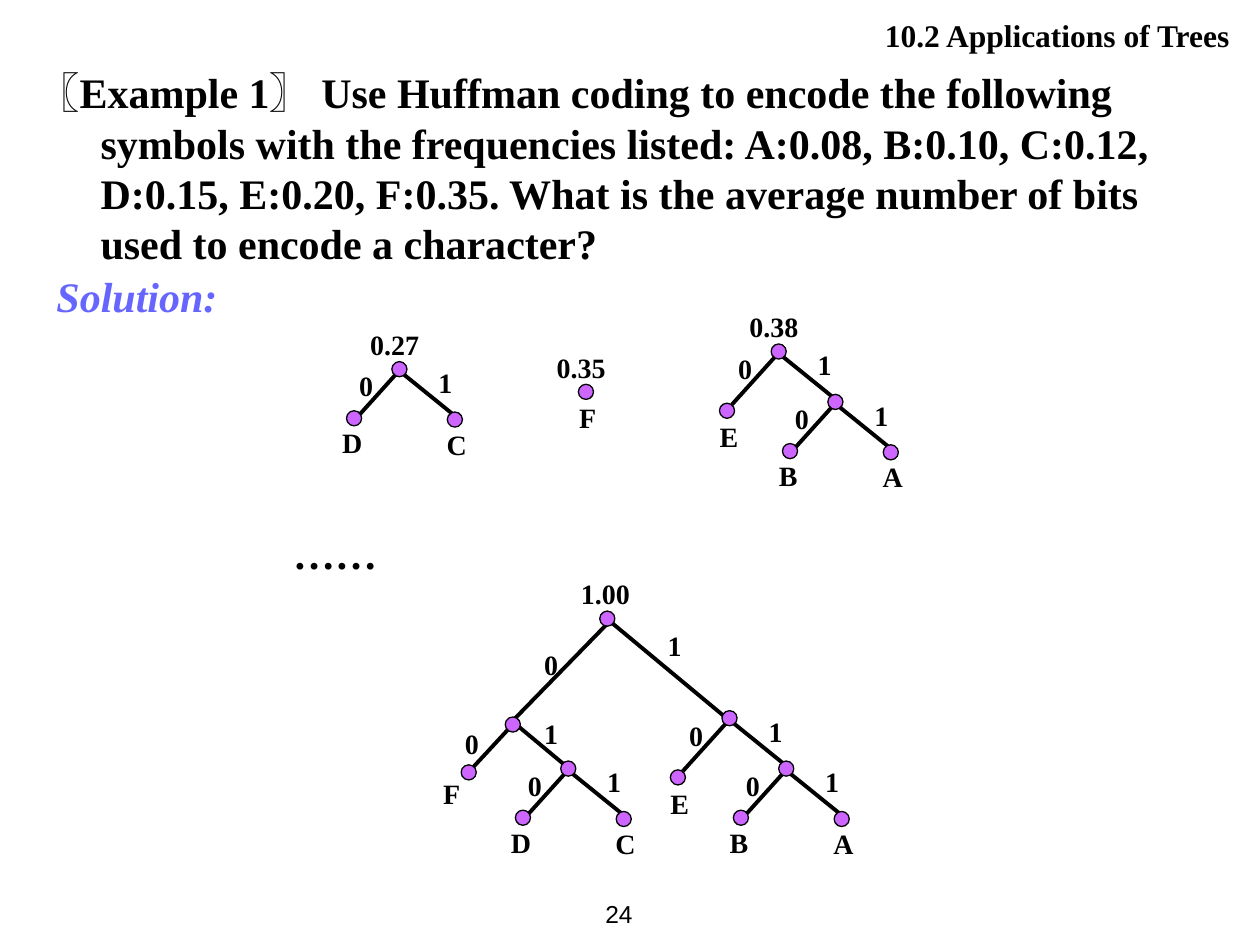
from dataclasses import dataclass
from typing import Optional

import pptx
import pptx.dml.color
import pptx.enum.shapes
import pptx.enum.text
import pptx.oxml.ns
import pptx.util
from lxml import etree

Inches = pptx.util.Inches
Align = pptx.enum.text.PP_ALIGN


@dataclass(frozen=True)
class Theme:
    serif: str = "Times New Roman"
    sans: str = "Arial"
    ink: str = "000000"
    accent: str = "6666FF"
    node: str = "CC66FF"
    body: int = 24
    header: int = 18
    label: int = 16
    footer: int = 14
    edge: float = 2.25
    outline: float = 0.75
    dot: float = 0.12


THEME = Theme()


@dataclass(frozen=True)
class Fork:
    """Offsets from a parent node to its children, edges and bit labels."""
    left: tuple = (-0.36, 0.39)
    right: tuple = (0.44, 0.40)
    left_edge: tuple = ((0, 0.01), (-0.37, 0.42))
    right_edge: tuple = ((0.02, 0.03), (0.44, 0.37))
    zero: tuple = (-0.58, -0.05)
    one: tuple = (0.05, -0.08)


LEAF_FORK = Fork()
UNEVEN_FORK = Fork(left=(-0.41, 0.47), right=(0.45, 0.40))
F_FORK = Fork(left=(-0.35, 0.38), right=(0.44, 0.35),
              left_edge=((-0.01, 0.01), (-0.38, 0.41)),
              right_edge=((-0.01, -0.03), (0.41, 0.32)),
              zero=(-0.64, -0.03), one=(-0.01, -0.11))
ROOT_FORK = Fork(left=(-0.75, 0.84), right=(0.97, 0.79),
                 left_edge=((0.02, 0.02), (-0.76, 0.82)),
                 right_edge=((0.02, 0.02), (0.97, 0.81)),
                 zero=(-0.76, 0.18), one=(0.22, 0.03))


@dataclass(frozen=True)
class Node:
    symbol: str = ""
    symbol_offset: tuple = (-0.30, 0.01)
    left: Optional["Node"] = None
    right: Optional["Node"] = None
    fork: Fork = LEAF_FORK


def color(value):
    return pptx.dml.color.RGBColor.from_string(value)


def shifted(point, offset):
    return point[0] + offset[0], point[1] + offset[1]


def add_text(shapes, text, left, top, width, height, *, size=THEME.label, font=THEME.serif,
             ink=THEME.ink, bold=True, italic=False, align=Align.LEFT, hanging=0,
             wrap=True, grow=False, middle=False, lead=""):
    """Add a text box; lead is opening text set in the sans font."""
    box = shapes.add_textbox(Inches(left), Inches(top), Inches(width), Inches(height))
    frame = box.text_frame
    frame.word_wrap = wrap
    if grow:
        frame.auto_size = pptx.enum.text.MSO_AUTO_SIZE.SHAPE_TO_FIT_TEXT
    if middle:
        frame.vertical_anchor = pptx.enum.text.MSO_ANCHOR.MIDDLE
    paragraph = frame.paragraphs[0]
    paragraph.alignment = align
    if hanging:
        properties = paragraph._p.get_or_add_pPr()
        properties.set("marL", str(Inches(hanging)))
        properties.set("indent", str(-Inches(hanging)))
    for content, typeface in ((lead, THEME.sans), (text, font)):
        if content:
            run = paragraph.add_run()
            run.text = content
            run.font.name = typeface
            run.font.size = pptx.util.Pt(size)
            run.font.bold = bold
            run.font.italic = italic
            run.font.color.rgb = color(ink)


def add_label(shapes, text, position, height=0.52, align=Align.CENTER):
    add_text(shapes, text, *position, 0.63, height, align=align)


def add_edge(shapes, start, end):
    edge = shapes.add_connector(pptx.enum.shapes.MSO_CONNECTOR.STRAIGHT,
                                *(Inches(value) for value in start + end))
    edge.line.color.rgb = color(THEME.ink)
    edge.line.width = pptx.util.Pt(THEME.edge)
    etree.SubElement(edge._element.spPr, pptx.oxml.ns.qn("a:effectLst"))


def add_dot(shapes, center):
    radius = THEME.dot / 2
    dot = shapes.add_shape(pptx.enum.shapes.MSO_SHAPE.OVAL,
                           Inches(center[0] - radius), Inches(center[1] - radius),
                           Inches(THEME.dot), Inches(THEME.dot))
    dot.shadow.inherit = False
    dot.fill.solid()
    dot.fill.fore_color.rgb = color(THEME.node)
    dot.line.color.rgb = color(THEME.ink)
    dot.line.width = pptx.util.Pt(THEME.outline)


def add_tree(shapes, node, center):
    """Draw a node with everything below it; edges lie under the dots."""
    if node.left and node.right:
        fork = node.fork
        for start, end in (fork.left_edge, fork.right_edge):
            add_edge(shapes, shifted(center, start), shifted(center, end))
        add_tree(shapes, node.left, shifted(center, fork.left))
        add_tree(shapes, node.right, shifted(center, fork.right))
        add_label(shapes, "0", shifted(center, fork.zero), height=0.43)
        add_label(shapes, "1", shifted(center, fork.one))
    add_dot(shapes, center)
    if node.symbol:
        add_label(shapes, node.symbol, shifted(center, node.symbol_offset))


def add_weighted_tree(shapes, weight, node, center, align=Align.JUSTIFY):
    add_tree(shapes, node, center)
    add_label(shapes, weight, shifted(center, (-0.33, -0.38)), align=align)


def add_trees(slide):
    inner_left = (-0.33, 0.01)
    dc_tree = Node(left=Node("D", inner_left), right=Node("C"))
    ba_tree = Node(left=Node("B", inner_left), right=Node("A"))
    eba_tree = Node(left=Node("E", (-0.30, 0.02)), right=ba_tree, fork=UNEVEN_FORK)
    fdc_tree = Node(left=Node("F", (-0.45, -0.02)), right=dc_tree, fork=F_FORK)
    final_tree = Node(left=fdc_tree, right=eba_tree, fork=ROOT_FORK)

    forest = slide.shapes.add_group_shape().shapes
    add_weighted_tree(forest, "0.27", dc_tree, (3.17, 2.93))
    add_weighted_tree(forest, "0.35", Node("F", (-0.30, 0.02)), (4.65, 3.11))
    add_weighted_tree(forest, "0.38", eba_tree, (6.18, 2.79))
    result = slide.shapes.add_group_shape().shapes
    add_weighted_tree(result, "1.00", final_tree, (4.82, 4.91), align=Align.CENTER)


def main():
    presentation = pptx.Presentation()
    presentation.slide_width = Inches(10)
    presentation.slide_height = Inches(7.5)
    slide = presentation.slides.add_slide(presentation.slide_layouts[6])
    shapes = slide.shapes
    body = {"size": THEME.body, "hanging": 0.5, "grow": True}

    add_text(shapes, "24", 4.45, 7, 0.67, 0.5, size=THEME.footer, font=THEME.sans,
             bold=False, align=Align.RIGHT, wrap=False, middle=True)
    add_text(shapes, "Example 1〗 Use Huffman coding to encode the following symbols with "
             "the frequencies listed: A:0.08, B:0.10, C:0.12, D:0.15, E:0.20, F:0.35. "
             "What is the average number of bits used to encode a character?",
             0.2, 0.48, 9.14, 1.7, lead="〖", **body)
    add_text(shapes, "Solution:", 0.35, 2.1, 9.14, 0.5,
             ink=THEME.accent, italic=True, **body)
    add_text(shapes, "……", 2.24, 4.14, 6.14, 0.5, italic=True, **body)
    add_trees(slide)
    add_text(shapes, " 10.2 Applications of Trees ", 3.98, 0.08, 5.94, 0.4,
             size=THEME.header, align=Align.RIGHT, grow=True)
    presentation.save("out.pptx")


if __name__ == "__main__":
    main()
